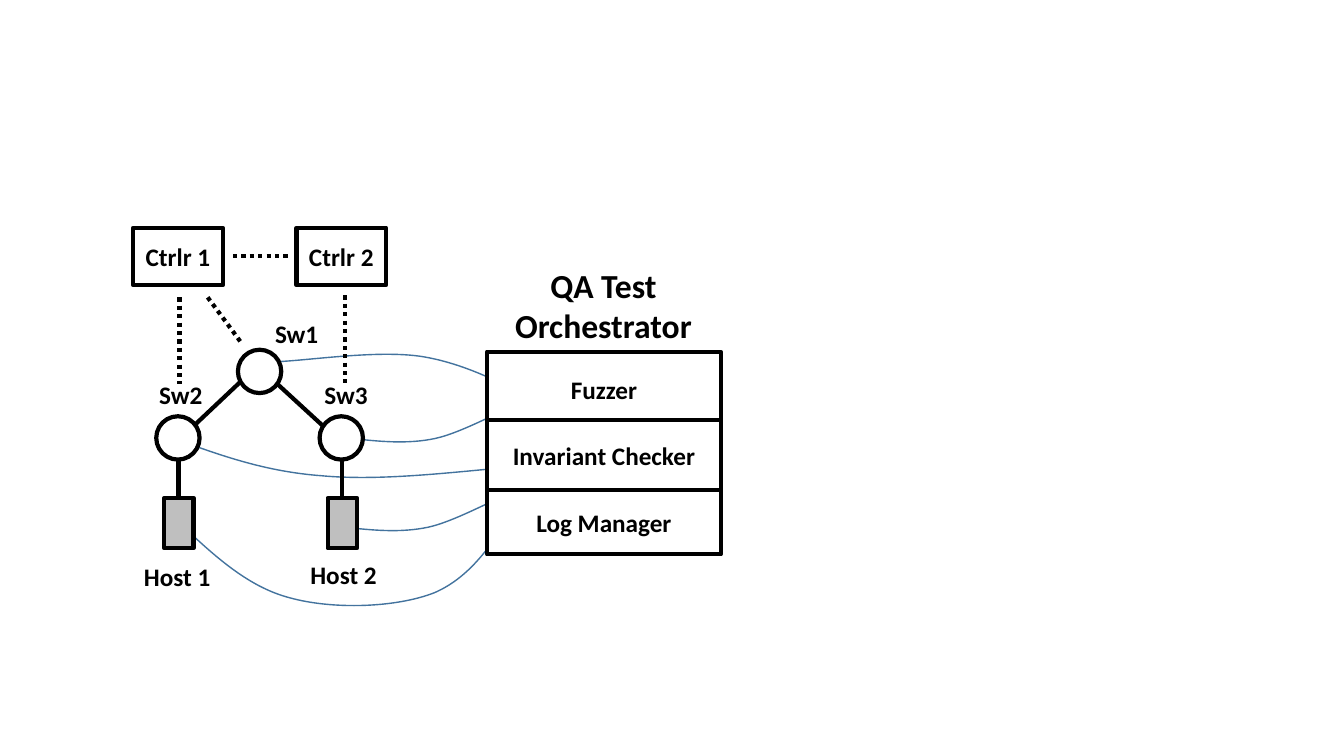
from pptx import Presentation
from pptx.dml.color import RGBColor
from pptx.enum.dml import MSO_LINE
from pptx.enum.shapes import MSO_CONNECTOR, MSO_SHAPE
from pptx.enum.text import MSO_ANCHOR, PP_ALIGN
from pptx.oxml.ns import qn
from pptx.util import Inches, Pt
from lxml import etree

BLACK = RGBColor(0, 0, 0)
WHITE = RGBColor(255, 255, 255)
GRAY = RGBColor(0xBF, 0xBF, 0xBF)
BLUE = RGBColor(0x43, 0x73, 0x9E)
FONT = "Calibri"


def write(text_frame, lines, size=18, alignment=PP_ALIGN.CENTER):
    for index, line in enumerate(lines):
        paragraph = text_frame.paragraphs[0] if index == 0 else text_frame.add_paragraph()
        paragraph.text = line
        paragraph.alignment = alignment
        paragraph.font.name = FONT
        paragraph.font.size = Pt(size)
        paragraph.font.bold = True
        paragraph.font.color.rgb = BLACK


def add_node(slide, kind, left, top, width, height, text=None, fill=WHITE):
    shape = slide.shapes.add_shape(
        kind, Inches(left), Inches(top), Inches(width), Inches(height))
    shape.shadow.inherit = False
    shape.fill.solid()
    shape.fill.fore_color.rgb = fill
    shape.line.color.rgb = BLACK
    shape.line.width = Pt(3)
    if text:
        shape.text_frame.word_wrap = True
        shape.text_frame.vertical_anchor = MSO_ANCHOR.MIDDLE
        write(shape.text_frame, [text])


def add_label(slide, left, top, width, height, lines, size=18, alignment=PP_ALIGN.LEFT):
    box = slide.shapes.add_textbox(
        Inches(left), Inches(top), Inches(width), Inches(height))
    box.text_frame.word_wrap = False
    write(box.text_frame, lines, size, alignment)


def add_link(slide, start_x, start_y, end_x, end_y, dotted=False):
    link = slide.shapes.add_connector(
        MSO_CONNECTOR.STRAIGHT,
        Inches(start_x), Inches(start_y), Inches(end_x), Inches(end_y))
    link.line.color.rgb = BLACK
    link.line.width = Pt(3)
    if dotted:
        link.line.dash_style = MSO_LINE.ROUND_DOT
    etree.SubElement(link._element.spPr, qn("a:effectLst"))


def add_curve(slide, points):
    """Draw cubic curves: a start point, then three points per curve."""
    points = [(Inches(x), Inches(y)) for x, y in points]
    builder = slide.shapes.build_freeform(*points[0])
    builder.add_line_segments(points[1:], close=False)
    shape = builder.convert_to_shape()
    shape.shadow.inherit = False
    shape.fill.background()
    shape.line.color.rgb = BLUE
    shape.line.width = Pt(1)
    # Merge every three straight segments into one cubic curve
    segments = list(shape._element.iter(qn("a:lnTo")))
    for first in range(0, len(segments), 3):
        curve, *others = segments[first:first + 3]
        cubic = etree.Element(qn("a:cubicBezTo"))
        curve.addprevious(cubic)
        for segment in (curve, *others):
            cubic.append(segment[0])
            segment.getparent().remove(segment)


def add_monitoring(slide, left, top):
    """Curves that tie switches and hosts to the orchestrator."""
    host_2_curve = [(2.09, 2.97), (2.37, 3), (2.65, 3.03), (2.93, 2.97),
                    (3.2, 2.91), (3.6, 2.68), (3.76, 2.63)]
    switch_3_curve = [(x + 0.07, y - 0.88) for x, y in host_2_curve]
    curves = [
        [(4.2, 1.84), (3.78, 1.6), (3.35, 1.36), (2.88, 1.28),
         (2.4, 1.2), (1.61, 1.34), (1.33, 1.33)],
        switch_3_curve,
        [(0.46, 2.11), (0.9, 2.27), (1.33, 2.42), (1.87, 2.46),
         (2.41, 2.51), (3.04, 2.44), (3.68, 2.38)],
        [(0.45, 2.92), (0.79, 3.24), (1.13, 3.56), (1.55, 3.67),
         (1.98, 3.79), (2.61, 3.77), (2.99, 3.62),
         (3.36, 3.46), (3.58, 3.11), (3.8, 2.76)],
        host_2_curve,
    ]
    for curve in curves:
        add_curve(slide, [(left + x, top + y) for x, y in curve])


def add_network(slide, left, top):
    column_gap = 1.62
    # Links: solid between switches and hosts, dotted to controllers
    for start_x, start_y, end_x, end_y, dotted in [
            (0.45, 2.68, 0.45, 2.15, False), (2.07, 2.68, 2.07, 2.15, False),
            (2.03, 2.1, 1.29, 1.42, False), (1.19, 1.41, 0.48, 2.08, False),
            (0.99, 0.28, 1.54, 0.28, True), (0.74, 0.69, 1.08, 1.15, True),
            (0.46, 0.69, 0.46, 1.55, True), (2.1, 0.67, 2.1, 1.54, True)]:
        add_link(slide, left + start_x, top + start_y, left + end_x, top + end_y, dotted)
    # Controllers and hosts
    for column in range(2):
        x = left + column * column_gap
        add_node(slide, MSO_SHAPE.RECTANGLE, x, top, 0.89, 0.57, f"Ctrlr {column + 1}")
        add_node(slide, MSO_SHAPE.RECTANGLE, x + 0.31, top + 2.68, 0.29, 0.5, fill=GRAY)
    # Switches
    for x, y in [(1.04, 1.21), (0.23, 1.87), (0.23 + column_gap, 1.87)]:
        add_node(slide, MSO_SHAPE.OVAL, left + x, top + y, 0.43, 0.43)
    # Labels
    for text, x, y, width in [
            ("Sw1", 1.31, 0.85, 0.63), ("Sw2", 0.16, 1.45, 0.63),
            ("Sw3", 1.8, 1.45, 0.63), ("Host 1", 0.01, 3.26, 0.87),
            ("Host 2", 1.66, 3.24, 0.87)]:
        add_label(slide, left + x, top + y, width, 0.4, [text])


def add_orchestrator(slide, left, top, width):
    for text, y, height in [("Fuzzer", 0.91, 0.74), ("Invariant Checker", 1.59, 0.69),
                            ("Log Manager", 2.28, 0.64)]:
        add_node(slide, MSO_SHAPE.RECTANGLE, left, top + y, width, height, text)
    add_label(slide, left + 0.12, top, width - 0.25, 0.91,
              ["QA Test", "Orchestrator"], 24, PP_ALIGN.CENTER)


presentation = Presentation()
presentation.slide_width = Inches(13.33)
presentation.slide_height = Inches(7.5)
slide = presentation.slides.add_slide(presentation.slide_layouts[6])
add_monitoring(slide, 1.32, 2.26)
add_network(slide, 1.32, 2.26)
add_orchestrator(slide, 4.83, 2.58, 2.32)
presentation.save("out.pptx")
